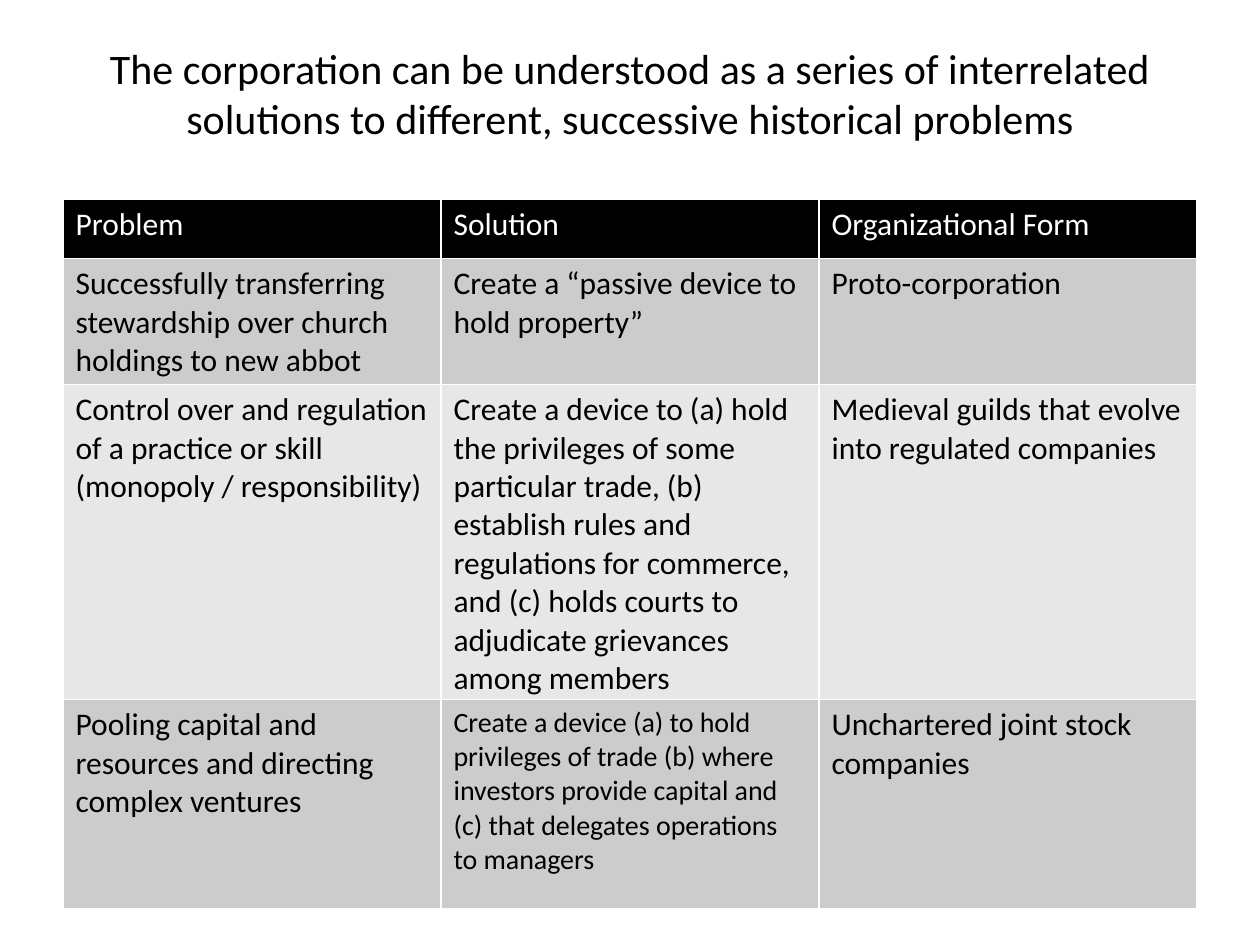
from lxml import etree
from pptx import Presentation
from pptx.dml.color import RGBColor
from pptx.enum.text import MSO_ANCHOR, PP_ALIGN
from pptx.oxml.ns import qn
from pptx.util import Pt

CENTER, LEFT = PP_ALIGN.CENTER, PP_ALIGN.LEFT
MIDDLE = MSO_ANCHOR.MIDDLE
FONT = "Calibri"
COLORS = {"black": "000000", "white": "FFFFFF", "dark": "CCCCCC", "light": "E7E7E7"}


def style(p, size, color, align=LEFT):
    p.alignment = align
    p.font.name = FONT
    p.font.size = Pt(size)
    p.font.bold = False
    p.font.color.rgb = RGBColor.from_string(COLORS[color])


def add_border(cell, side, width, color):
    tcPr = cell._tc.get_or_add_tcPr()
    ln = etree.SubElement(tcPr, qn("a:" + side), w=str(Pt(width)))
    fill = etree.SubElement(ln, qn("a:solidFill"))
    etree.SubElement(fill, qn("a:srgbClr"), val=COLORS[color])


prs = Presentation()
prs.slide_width, prs.slide_height = Pt(720), Pt(540)
s = prs.slides.add_slide(prs.slide_layouts[6])

# Title
tf = s.shapes.add_textbox(Pt(36), Pt(21.6), Pt(648), Pt(62.6)).text_frame
tf.word_wrap = True
tf.vertical_anchor = MIDDLE
p = tf.paragraphs[0]
p.text = ("The corporation can be understood as a series of interrelated "
          "solutions to different, successive historical problems")
style(p, 24, "black", CENTER)

# Table of problems, solutions and forms
rows = [
    ("Problem", "Solution", "Organizational Form"),
    ("Successfully transferring stewardship over church holdings to new abbot",
     "Create a “passive device to hold property” ",
     "Proto-corporation"),
    ("Control over and regulation of a practice or skill (monopoly / responsibility)",
     "Create a device to (a) hold the privileges of some particular trade, "
     "(b) establish rules and regulations for commerce, and (c) holds courts "
     "to adjudicate grievances among members",
     "Medieval guilds that evolve into regulated companies"),
    ("Pooling capital and resources and directing complex ventures",
     "Create a device (a) to hold privileges of trade (b) where investors "
     "provide capital and (c) that delegates operations to managers ",
     "Unchartered joint stock companies"),
]
row_heights = [33.8, 69.1, 174.2, 119.5]
row_fills = ["black", "dark", "light", "dark"]
small_cell = (3, 1)

table = s.shapes.add_table(len(rows), 3, Pt(36), Pt(113.8), Pt(648), Pt(sum(row_heights))).table
for i, texts in enumerate(rows):
    table.rows[i].height = Pt(row_heights[i])
    for j, text in enumerate(texts):
        cell = table.cell(i, j)
        cell.text = text
        style(cell.text_frame.paragraphs[0], 16 if (i, j) == small_cell else 18,
              "white" if i == 0 else "black")
        for side in ("lnL", "lnR", "lnT", "lnB"):
            add_border(cell, side, 1, "white")
        cell.fill.solid()
        cell.fill.fore_color.rgb = RGBColor.from_string(COLORS[row_fills[i]])

prs.save("out.pptx")
